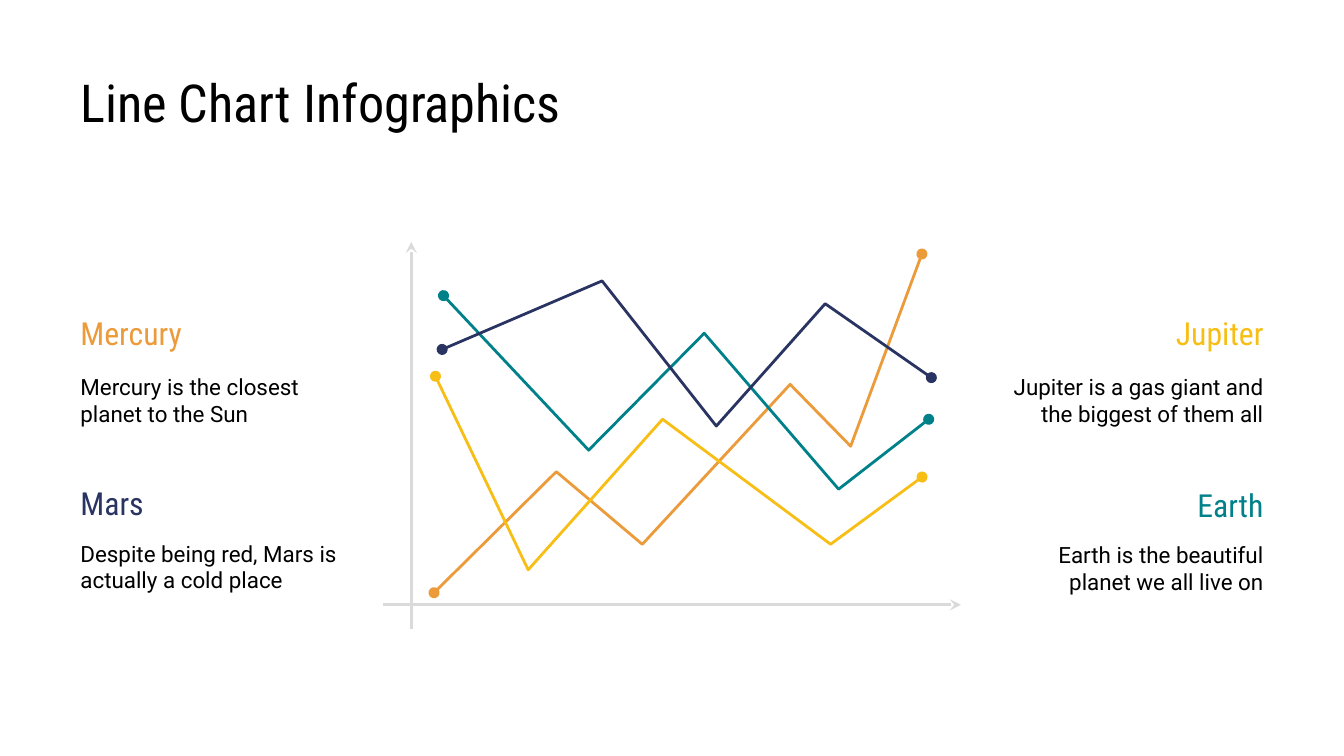
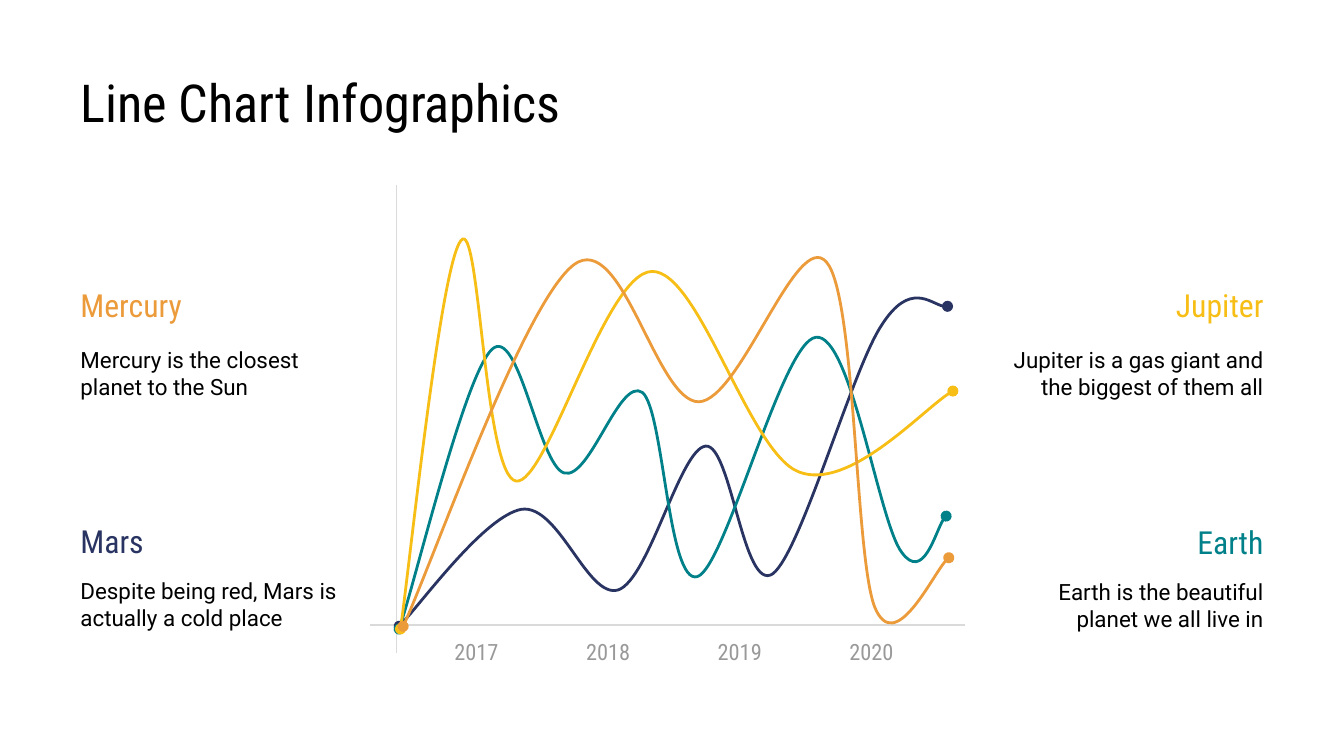
from dataclasses import dataclass
from typing import NamedTuple

from lxml import etree
from pptx import Presentation
from pptx.dml.color import RGBColor
from pptx.enum.shapes import MSO_CONNECTOR
from pptx.enum.text import MSO_ANCHOR, PP_ALIGN
from pptx.oxml.ns import qn
from pptx.util import Inches, Pt

STRAIGHT = MSO_CONNECTOR.STRAIGHT
LEFT, CENTER, RIGHT = PP_ALIGN.LEFT, PP_ALIGN.CENTER, PP_ALIGN.RIGHT
TOP, MIDDLE = MSO_ANCHOR.TOP, MSO_ANCHOR.MIDDLE

SLIDE_WIDTH = Inches(10)
SLIDE_HEIGHT = SLIDE_WIDTH * 9 // 16

BLACK = RGBColor(0x00, 0x00, 0x00)
AXIS_GRAY = RGBColor(0xDA, 0xDA, 0xDA)
YEAR_GRAY = RGBColor(0x99, 0x99, 0x99)
ORANGE = RGBColor(0xEC, 0x9B, 0x3B)
YELLOW = RGBColor(0xF7, 0xBE, 0x16)
TEAL = RGBColor(0x00, 0x81, 0x8A)
NAVY = RGBColor(0x29, 0x34, 0x62)

HEADING_FONT, BODY_FONT = "Roboto Condensed", "Roboto"
MARGIN_LEFT, MARGIN_RIGHT = 0.5, 9.5
BODY_WIDTH, BODY_HEIGHT, NAME_HEIGHT = 2.18, 0.55, 0.33
CURVE_STEPS = 40

Point = tuple[float, float]


class Box(NamedTuple):
    left: float
    top: float
    width: float
    height: float


class TextStyle(NamedTuple):
    font: str
    size: float
    color: RGBColor
    align: PP_ALIGN = LEFT
    anchor: MSO_ANCHOR = MIDDLE


class Axis(NamedTuple):
    start: Point
    end: Point
    head: str = ""
    tail: str = ""


@dataclass(frozen=True)
class Planet:
    name: str
    color: RGBColor
    align: PP_ALIGN
    name_width: float = 1.16


@dataclass(frozen=True)
class Caption:
    planet: Planet
    text: str
    name_top: float
    text_top: float


@dataclass(frozen=True)
class Series:
    """A planet's line; curved points run anchor, control, control, anchor, ..."""
    planet: Planet
    points: list[Point]


@dataclass(frozen=True)
class ChartSlide:
    axes: list[Axis]
    axis_weight: float
    captions: list[Caption]
    series: list[Series]
    curved: bool
    years: tuple[str, ...] = ()


MERCURY = Planet("Mercury", ORANGE, LEFT)
MARS = Planet("Mars", NAVY, LEFT)
JUPITER = Planet("Jupiter", YELLOW, RIGHT, 0.98)
EARTH = Planet("Earth", TEAL, RIGHT)

MERCURY_TEXT = "Mercury is the closest planet to the Sun"
MARS_TEXT = "Despite being red, Mars is actually a cold place"
JUPITER_TEXT = "Jupiter is a gas giant and the biggest of them all"
EARTH_TEXT = "Earth is the beautiful planet we all live "

TITLE = "Line Chart Infographics"
TITLE_STYLE = TextStyle(HEADING_FONT, 28, BLACK, LEFT, TOP)
YEAR_STYLE = TextStyle(HEADING_FONT, 12, YEAR_GRAY, CENTER)

CHART_SLIDES = [
    ChartSlide(
        axes=[
            Axis((2.85, 4.5), (7.15, 4.5), tail="stealth"),
            Axis((3.06, 1.8), (3.06, 4.68), head="stealth"),
        ],
        axis_weight=1.5,
        captions=[
            Caption(JUPITER, JUPITER_TEXT, 2.31, 2.7),
            Caption(MERCURY, MERCURY_TEXT, 2.31, 2.7),
            Caption(EARTH, EARTH_TEXT + "on", 3.59, 3.95),
            Caption(MARS, MARS_TEXT, 3.58, 3.94),
        ],
        series=[
            Series(MERCURY, [(3.23, 4.41), (4.14, 3.51), (4.78, 4.05),
                             (5.88, 2.86), (6.33, 3.32), (6.86, 1.89)]),
            Series(JUPITER, [(3.24, 2.8), (3.93, 4.24), (4.93, 3.12),
                             (6.18, 4.05), (6.86, 3.55)]),
            Series(EARTH, [(3.3, 2.2), (4.38, 3.35), (5.24, 2.48),
                           (6.24, 3.64), (6.91, 3.12)]),
            Series(MARS, [(3.29, 2.6), (4.48, 2.09), (5.33, 3.17),
                          (6.14, 2.26), (6.93, 2.81)]),
        ],
        curved=False,
    ),
    ChartSlide(
        axes=[
            Axis((2.75, 4.65), (7.18, 4.65)),
            Axis((2.95, 1.38), (2.95, 4.86)),
        ],
        axis_weight=0.75,
        captions=[
            Caption(JUPITER, JUPITER_TEXT, 2.1, 2.5),
            Caption(MERCURY, MERCURY_TEXT, 2.1, 2.5),
            Caption(EARTH, EARTH_TEXT + "in", 3.87, 4.23),
            Caption(MARS, MARS_TEXT, 3.86, 4.22),
        ],
        series=[
            Series(MARS, [
                (2.97, 4.66),
                (3.12, 4.51), (3.61, 3.84), (3.88, 3.79),
                (4.16, 3.75), (4.37, 4.46), (4.6, 4.39),
                (4.83, 4.31), (5.06, 3.34), (5.25, 3.32),
                (5.44, 3.3), (5.53, 4.42), (5.75, 4.27),
                (5.96, 4.11), (6.34, 2.75), (6.56, 2.42),
                (6.77, 2.09), (6.97, 2.3), (7.05, 2.28)]),
            Series(EARTH, [
                (2.97, 4.68),
                (3.09, 4.33), (3.46, 2.79), (3.66, 2.6),
                (3.86, 2.41), (4.01, 3.47), (4.2, 3.52),
                (4.39, 3.57), (4.61, 2.8), (4.78, 2.92),
                (4.94, 3.05), (4.97, 4.36), (5.19, 4.29),
                (5.4, 4.22), (5.82, 2.54), (6.07, 2.51),
                (6.33, 2.47), (6.54, 3.89), (6.71, 4.11),
                (6.87, 4.33), (6.98, 3.88), (7.04, 3.84)]),
            Series(JUPITER, [
                (2.98, 4.68),
                (3.05, 4.2), (3.28, 1.97), (3.43, 1.79),
                (3.57, 1.6), (3.6, 3.54), (3.84, 3.58),
                (4.07, 3.61), (4.5, 2.03), (4.85, 2.02),
                (5.2, 2.01), (5.57, 3.36), (5.94, 3.51),
                (6.31, 3.66), (6.9, 3.01), (7.09, 2.91)]),
            Series(MERCURY, [
                (3, 4.66),
                (3.21, 4.21), (3.9, 2.25), (4.27, 1.97),
                (4.63, 1.7), (4.88, 2.99), (5.2, 2.99),
                (5.51, 2.98), (5.93, 1.69), (6.15, 1.95),
                (6.37, 2.2), (6.36, 4.15), (6.51, 4.52),
                (6.66, 4.88), (6.97, 4.21), (7.06, 4.15)]),
        ],
        curved=True,
        years=("2017", "2018", "2019", "2020"),
    ),
]


def add_text(slide, text: str, box: Box, style: TextStyle) -> None:
    frame = slide.shapes.add_textbox(*map(Inches, box)).text_frame
    frame.word_wrap = True
    frame.vertical_anchor = style.anchor
    frame.margin_left = frame.margin_right = Inches(0.1)
    frame.margin_top = frame.margin_bottom = Inches(0.1)
    paragraph = frame.paragraphs[0]
    paragraph.alignment = style.align
    run = paragraph.add_run()
    run.text = text
    run.font.name = style.font
    run.font.size = Pt(style.size)
    run.font.color.rgb = style.color


def style_line(line, color: RGBColor, weight: float, head: str = "", tail: str = "") -> None:
    line.color.rgb = color
    line.width = Pt(weight)
    for tag, kind in (("a:headEnd", head), ("a:tailEnd", tail)):
        if kind:
            etree.SubElement(line._get_or_add_ln(), qn(tag), type=kind)


def add_axes(slide, axes: list[Axis], weight: float) -> None:
    group = slide.shapes.add_group_shape()
    for axis in axes:
        connector = group.shapes.add_connector(
            STRAIGHT, *map(Inches, (*axis.start, *axis.end)))
        style_line(connector.line, AXIS_GRAY, weight, axis.head, axis.tail)
        etree.SubElement(connector._element.spPr, qn("a:effectLst"))


def add_caption(slide, caption: Caption) -> None:
    planet = caption.planet

    def box(top: float, width: float, height: float) -> Box:
        left = MARGIN_LEFT if planet.align == LEFT else MARGIN_RIGHT - width
        return Box(left, top, width, height)

    add_text(slide, planet.name, box(caption.name_top, planet.name_width, NAME_HEIGHT),
             TextStyle(HEADING_FONT, 17, planet.color, planet.align))
    add_text(slide, caption.text, box(caption.text_top, BODY_WIDTH, BODY_HEIGHT),
             TextStyle(BODY_FONT, 12, BLACK, planet.align))


def trace_curve(points: list[Point]) -> list[Point]:
    """Sample a chain of cubic Bézier segments, to find the area it covers."""
    traced = [points[0]]
    for first in range(0, len(points) - 1, 3):
        segment = points[first:first + 4]
        for step in range(1, CURVE_STEPS + 1):
            t = step / CURVE_STEPS
            weights = ((1 - t) ** 3, 3 * t * (1 - t) ** 2, 3 * t * t * (1 - t), t ** 3)
            traced.append((sum(w * x for w, (x, _) in zip(weights, segment)),
                           sum(w * y for w, (_, y) in zip(weights, segment))))
    return traced


def bend_path(outline, points: list[Point]) -> None:
    """Swap the straight segments of an outline for cubic Bézier ones."""
    path = outline._element.find(".//" + qn("a:path"))
    for segment in path.findall(qn("a:lnTo")):
        path.remove(segment)
    for first in range(1, len(points), 3):
        curve = etree.SubElement(path, qn("a:cubicBezTo"))
        for x, y in points[first:first + 3]:
            etree.SubElement(curve, qn("a:pt"), x=str(Inches(x) - outline.left),
                             y=str(Inches(y) - outline.top))


def add_series(slide, series: Series, curved: bool) -> None:
    traced = trace_curve(series.points) if curved else series.points
    start, *rest = [(Inches(x), Inches(y)) for x, y in traced]
    builder = slide.shapes.build_freeform(*start)
    builder.add_line_segments(rest, close=False)
    outline = builder.convert_to_shape()
    if curved:
        bend_path(outline, series.points)
    outline.fill.background()
    outline.shadow.inherit = False
    style_line(outline.line, series.planet.color, 1.5, "oval", "oval")


def add_chart_slide(deck, content: ChartSlide) -> None:
    slide = deck.slides.add_slide(deck.slide_layouts[6])
    add_text(slide, TITLE, Box(MARGIN_LEFT, 0.42, 9, 0.63), TITLE_STYLE)
    add_axes(slide, content.axes, content.axis_weight)
    for caption in content.captions:
        add_caption(slide, caption)
    for series in content.series:
        add_series(slide, series, content.curved)
    for index, year in enumerate(content.years):
        add_text(slide, year, Box(3.26 + 0.98 * index, 4.74, 0.57, 0.21), YEAR_STYLE)


def main() -> None:
    deck = Presentation()
    deck.slide_width, deck.slide_height = SLIDE_WIDTH, SLIDE_HEIGHT
    for content in CHART_SLIDES:
        add_chart_slide(deck, content)
    deck.save("out.pptx")


if __name__ == "__main__":
    main()
